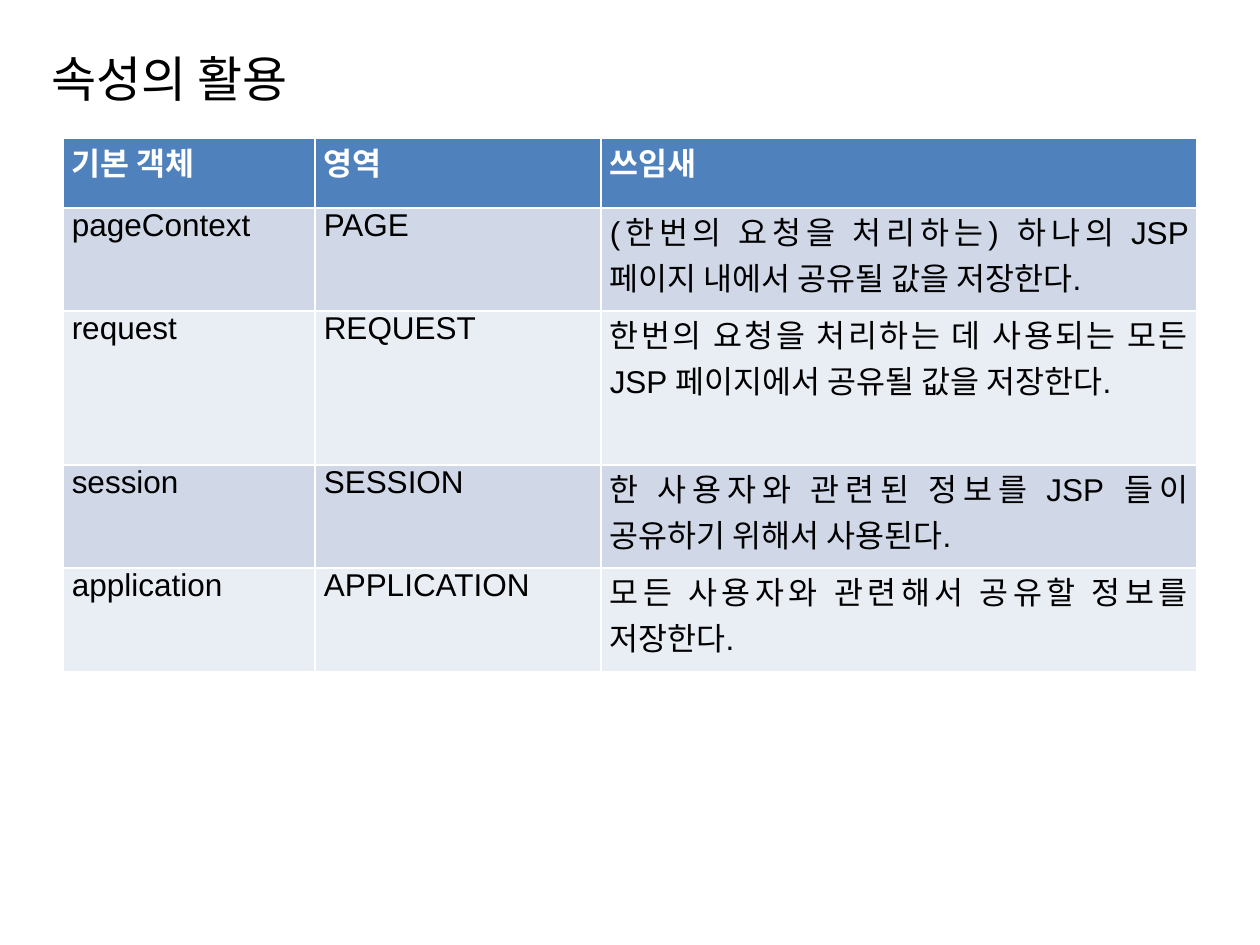
from lxml import etree
from pptx import Presentation
from pptx import util as u
from pptx.dml.color import RGBColor
from pptx.enum import text
from pptx.oxml import ns

BLACK = RGBColor(0x00, 0x00, 0x00)
WHITE = RGBColor(0xFF, 0xFF, 0xFF)
HEADER_BLUE = RGBColor(0x4F, 0x81, 0xBD)
BANDS = (RGBColor(0xE9, 0xED, 0xF4), RGBColor(0xD0, 0xD8, 0xE8))
LATIN_FONT = "Arial"
KOREAN_FONT = "Noto Sans CJK KR"

COLUMN_WIDTHS = (2, 2.27, 4.73)
ROW_HEIGHTS = (0.55, 0.82, 1.22, 0.82, 0.82)
ROWS = (
    ("기본 객체", "영역", "쓰임새"),
    ("pageContext", "PAGE",
     "(한번의 요청을 처리하는) 하나의 JSP 페이지 내에서 공유될 값을 저장한다."),
    ("request", "REQUEST",
     "한번의 요청을 처리하는 데 사용되는 모든 JSP 페이지에서 공유될 값을 저장한다."),
    ("session", "SESSION",
     "한 사용자와 관련된 정보를 JSP 들이 공유하기 위해서 사용된다."),
    ("application", "APPLICATION",
     "모든 사용자와 관련해서 공유할 정보를 저장한다."),
)
CELL_FORMAT = {
    "margin_left": u.Inches(0.07),
    "margin_right": u.Inches(0.07),
    "margin_top": 0,
    "margin_bottom": 0,
    "vertical_anchor": text.MSO_ANCHOR.TOP,
}


def set_attributes(target, values):
    for name, value in values.items():
        setattr(target, name, value)


def write_text(frame, content, alignment, color, font_format):
    paragraph = frame.paragraphs[0]
    paragraph.alignment = alignment
    run = paragraph.add_run()
    run.text = content
    set_attributes(run.font, font_format)
    run.font.color.rgb = color
    properties = run._r.get_or_add_rPr()
    etree.SubElement(properties, ns.qn("a:ea"), typeface=KOREAN_FONT)


def place_title(slide, left, top, width, height):
    title = slide.shapes.title
    set_attributes(title, {"left": left, "top": top, "width": width, "height": height})
    set_attributes(title.text_frame, {
        "word_wrap": True,
        "vertical_anchor": text.MSO_ANCHOR.MIDDLE,
    })
    write_text(title.text_frame, "속성의 활용", text.PP_ALIGN.LEFT, BLACK,
               {"size": u.Pt(28), "name": KOREAN_FONT, "bold": False})


def place_table(slide, left, top, width, height):
    table = slide.shapes.add_table(
        len(ROWS), len(COLUMN_WIDTHS), left, top, width, height).table
    for column, share in zip(table.columns, COLUMN_WIDTHS):
        column.width = int(width * share / sum(COLUMN_WIDTHS))
    for row, share in zip(table.rows, ROW_HEIGHTS):
        row.height = int(height * share / sum(ROW_HEIGHTS))
    for index, contents in enumerate(ROWS):
        is_header = index == 0
        for cell, content in zip(table.rows[index].cells, contents):
            set_attributes(cell, CELL_FORMAT)
            cell.fill.solid()
            cell.fill.fore_color.rgb = HEADER_BLUE if is_header else BANDS[index % 2]
            write_text(cell.text_frame, content, text.PP_ALIGN.JUSTIFY,
                       WHITE if is_header else BLACK,
                       {"size": u.Pt(18), "name": LATIN_FONT, "bold": is_header})


def main():
    presentation = Presentation()
    set_attributes(presentation, {
        "slide_width": u.Inches(10),
        "slide_height": u.Inches(7.5),
    })
    slide = presentation.slides.add_slide(presentation.slide_layouts[5])
    place_title(slide, u.Inches(0.31), u.Inches(0.3), u.Inches(9.45), u.Inches(0.64))
    place_table(slide, u.Inches(0.5), u.Inches(1.1), u.Inches(9), u.Inches(4.23))
    presentation.save("out.pptx")


if __name__ == "__main__":
    main()
